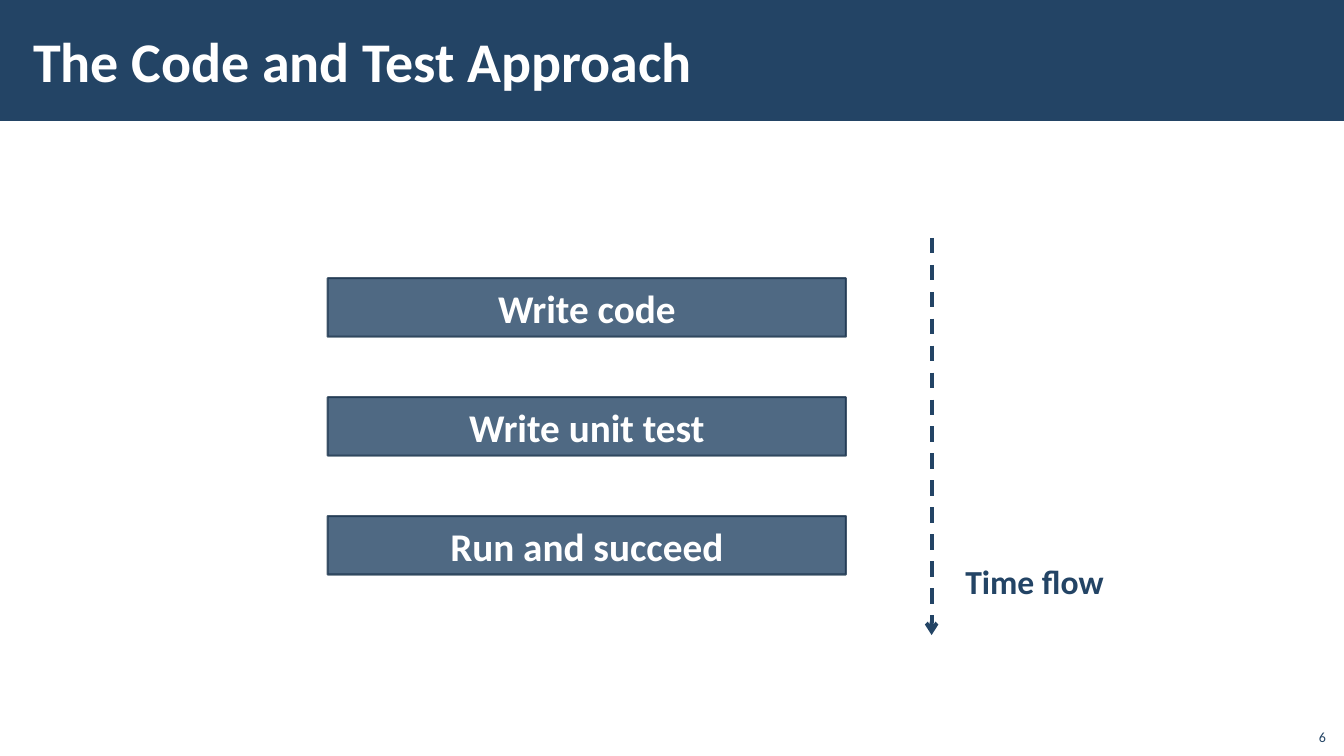
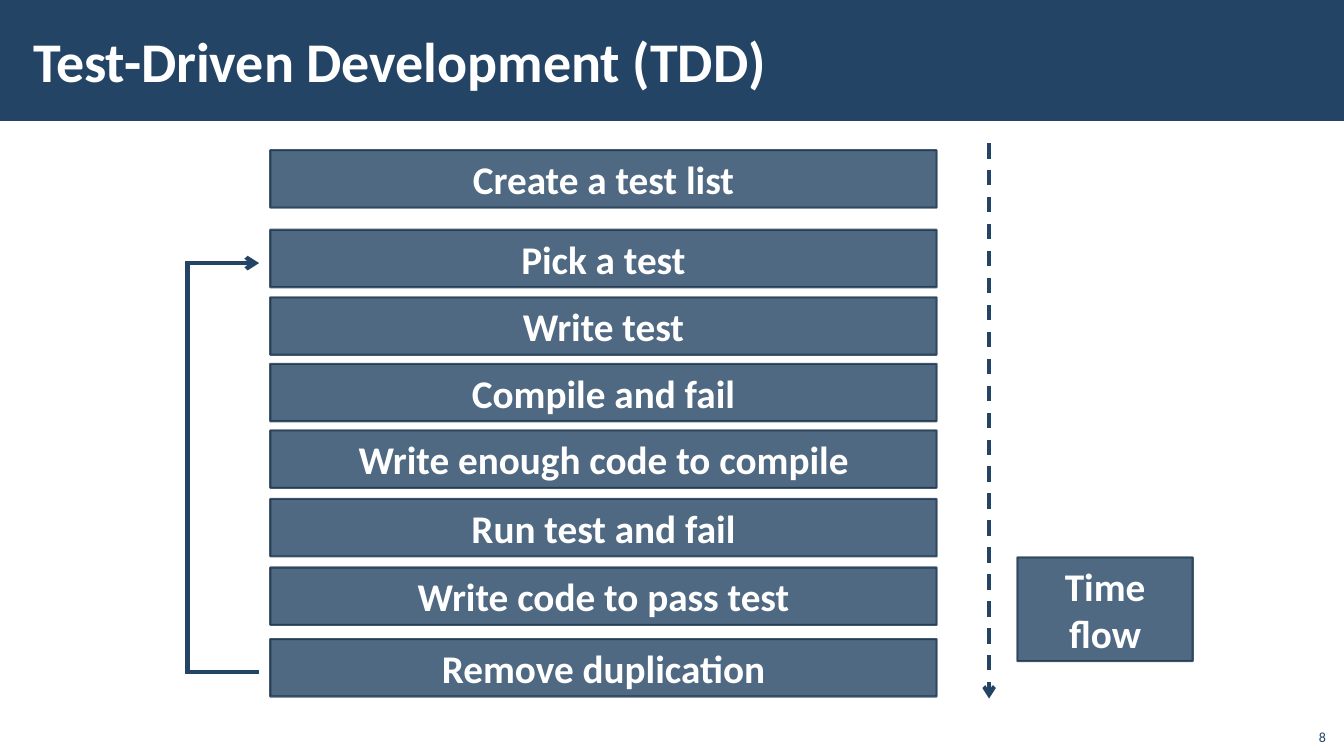
from lxml import etree
from pptx import Presentation
from pptx.dml.color import RGBColor
from pptx.enum.dml import MSO_LINE
from pptx.enum.shapes import MSO_CONNECTOR, MSO_SHAPE
from pptx.enum.text import MSO_ANCHOR, MSO_AUTO_SIZE, PP_ALIGN
from pptx.oxml.ns import qn
from pptx.util import Inches, Pt

RECT = MSO_SHAPE.RECTANGLE
LINE = MSO_CONNECTOR.STRAIGHT
DASH = MSO_LINE.DASH
MIDDLE, BOTTOM = MSO_ANCHOR.MIDDLE, MSO_ANCHOR.BOTTOM
LEFT, CENTER, RIGHT = PP_ALIGN.LEFT, PP_ALIGN.CENTER, PP_ALIGN.RIGHT
NO_FIT, GROW = MSO_AUTO_SIZE.NONE, MSO_AUTO_SIZE.SHAPE_TO_FIT_TEXT

COLORS = {"navy": "234465", "edge": "1A334C", "white": "FFFFFF"}
FONT = "Calibri"


def rgb(name):
    return RGBColor.from_string(COLORS[name])


def fade(part, percent):
    for color in part.iter(qn("a:srgbClr")):
        etree.SubElement(color, qn("a:alpha"), val=str(percent * 1000))


class Deck:
    def __init__(self):
        self.prs = Presentation()
        self.prs.slide_width = Inches(13.33)
        self.prs.slide_height = Inches(7.5)
        self.layout = self.prs.slide_layouts[5]
        self.slide = None

    def start(self, title, number):
        self.slide = self.prs.slides.add_slide(self.layout)
        if len(self.prs.slides) == 1:
            self.band()
        head = self.slide.shapes.title
        head.left, head.top = Inches(0.21), Inches(0.11)
        head.width, head.height = Inches(10.63), Inches(0.97)
        self.fill_text(head, title, 40, "white", LEFT, MIDDLE)
        frame = head.text_frame
        frame.margin_left = frame.margin_right = Inches(0.12)
        frame.margin_top = frame.margin_bottom = Inches(0.04)
        self.label(number, 12.85, 7.12, 0.4, 0.32, 10, RIGHT, bold=False, anchor=BOTTOM)

    def band(self):
        band = self.slide.shapes.add_shape(RECT, 0, 0, self.prs.slide_width, Inches(1.2))
        band.shadow.inherit = False
        band.fill.solid()
        band.fill.fore_color.rgb = rgb("navy")
        band.line.fill.background()
        self.layout.shapes.element.insert(2, band.element)

    def fill_text(self, shape, text, size, color, align, anchor, bold=True):
        frame = shape.text_frame
        frame.text = text
        frame.word_wrap = True
        frame.auto_size = NO_FIT
        frame.vertical_anchor = anchor
        para = frame.paragraphs[0]
        para.alignment = align
        font = para.font
        font.name, font.size, font.bold = FONT, Pt(size), bold
        font.color.rgb = rgb(color)

    def label(self, text, x, y, w, h, size, align, bold=True, anchor=MIDDLE):
        box = self.slide.shapes.add_textbox(Inches(x), Inches(y), Inches(w), Inches(h))
        self.fill_text(box, text, size, "navy", align, anchor, bold)
        return box

    def box(self, text, x, y, w, h):
        box = self.slide.shapes.add_shape(RECT, Inches(x), Inches(y), Inches(w), Inches(h))
        box.shadow.inherit = False
        box.fill.solid()
        box.fill.fore_color.rgb = rgb("navy")
        box.line.color.rgb = rgb("edge")
        box.line.width = Pt(1.5)
        fade(box.element.spPr, 80)
        self.fill_text(box, text, 28, "white", CENTER, MIDDLE)

    def line(self, x1, y1, x2, y2, width=3, dash=None, arrow=False):
        line = self.slide.shapes.add_connector(
            LINE, Inches(x1), Inches(y1), Inches(x2), Inches(y2))
        line.line.color.rgb = rgb("navy")
        line.line.width = Pt(width)
        if dash:
            line.line.dash_style = dash
        props = line.element.spPr
        if arrow:
            etree.SubElement(props.find(qn("a:ln")), qn("a:tailEnd"), type="arrow")
        etree.SubElement(props, qn("a:effectLst"))

    def flow(self, x, top, end):
        self.line(x, top, x, end, 2.75, DASH, True)


deck = Deck()

deck.start("The Code and Test Approach", "6")
for row, step in enumerate(["Write code", "Write unit test", "Run and succeed"]):
    deck.box(step, 3.25, 2.76 + row * 1.18, 5.14, 0.58)
deck.flow(9.24, 2.36, 6.3)
deck.label("Time flow", 9.39, 5.51, 1.74, 0.5, 24, CENTER).text_frame.auto_size = GROW

deck.start("Test-Driven Development (TDD)", "8")
steps = [
    ("Create a test list", 1.49),
    ("Pick a test", 2.28),
    ("Write test", 2.95),
    ("Compile and fail", 3.61),
    ("Write enough code to compile", 4.27),
    ("Run test and fail", 4.95),
    ("Write code to pass test", 5.63),
    ("Remove duplication", 6.34),
]
for step, top in steps:
    deck.box(step, 2.68, top, 6.61, 0.57)
deck.box("Time flow", 10.09, 5.53, 1.74, 1.03)
deck.line(1.86, 6.68, 1.86, 2.6)
deck.line(1.84, 2.61, 2.57, 2.61, arrow=True)
deck.line(1.84, 6.67, 2.57, 6.67)
deck.flow(9.81, 1.42, 6.93)

deck.prs.save("out.pptx")
